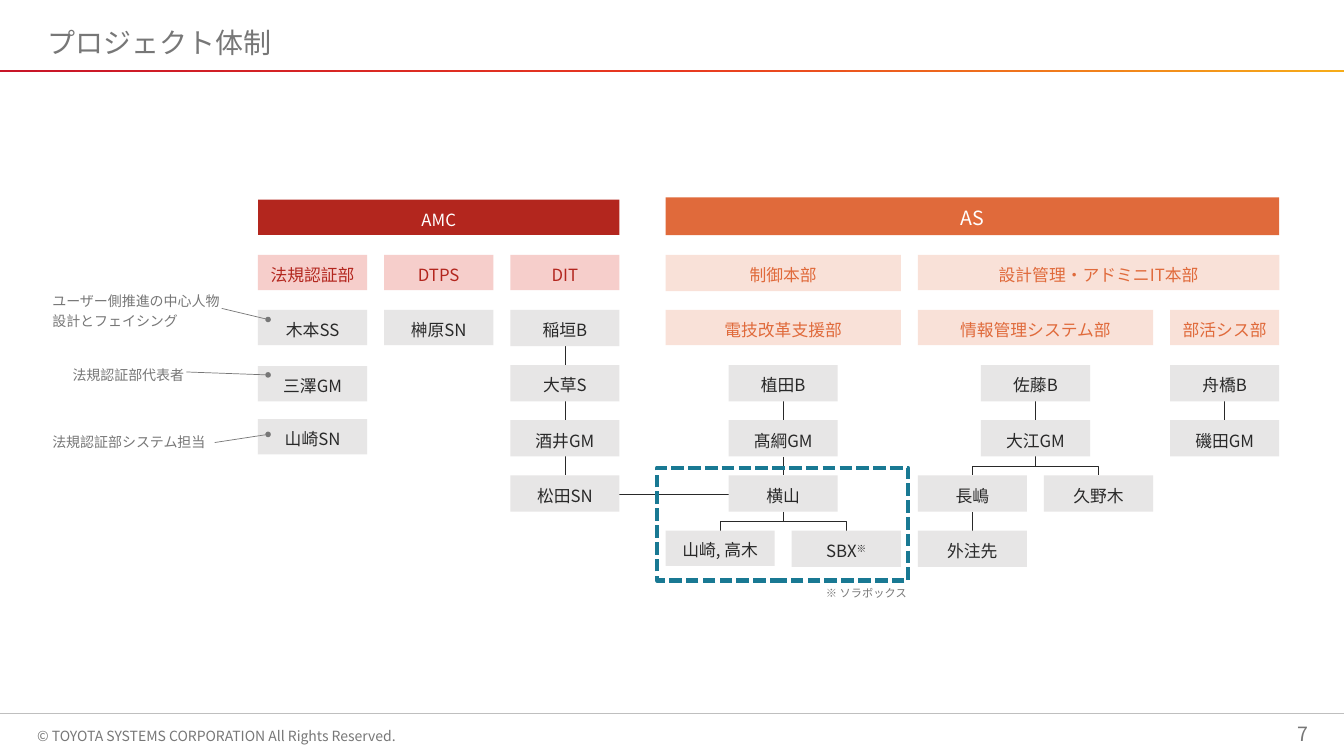
from copy import deepcopy

from lxml import etree
from pptx import Presentation
from pptx.dml.color import RGBColor
from pptx.enum.dml import MSO_LINE
from pptx.enum.shapes import MSO_CONNECTOR, MSO_SHAPE
from pptx.enum.text import MSO_ANCHOR, MSO_AUTO_SIZE, PP_ALIGN
from pptx.oxml.ns import qn
from pptx.util import Pt

RECT = MSO_SHAPE.RECTANGLE
STRAIGHT, ELBOW = MSO_CONNECTOR.STRAIGHT, MSO_CONNECTOR.ELBOW
LEFT, CENTER, RIGHT = PP_ALIGN.LEFT, PP_ALIGN.CENTER, PP_ALIGN.RIGHT
TOP, MIDDLE, BOTTOM = MSO_ANCHOR.TOP, MSO_ANCHOR.MIDDLE, MSO_ANCHOR.BOTTOM
GROW = MSO_AUTO_SIZE.SHAPE_TO_FIT_TEXT
DASH = MSO_LINE.SQUARE_DOT

THEME = {
    "font": "Noto Sans CJK JP",
    "title": 20, "heading": 14, "body": 12, "small": 10, "footnote": 8,
    "ink": "292929", "gray": "777777", "white": "FFFFFF", "rule": "BFBFBF",
    "person": "E7E6E6", "red": "B3261E", "pink": "F6CECB",
    "orange": "E06A3B", "peach": "F9E1D8", "teal": "197993",
    "bar": ["C81528", "E83820", "F6AC19"],
}
PLAIN, FLUSH, BOXED = (7.2, 3.6, 7.2, 3.6), (0, 3.6, 0, 3.6), (7.2, 5.8, 7.2, 4.3)

deck = Presentation()
deck.slide_width, deck.slide_height = Pt(960), Pt(540)
page = deck.slides.add_slide(deck.slide_layouts[6])


def write(shape, text, size, color, spacing=None, align=LEFT, anchor=TOP,
          insets=FLUSH, wrap=True):
    """Fill a shape with text; a part after ^ is superscript."""
    frame = shape.text_frame
    frame_format = {"word_wrap": wrap, "auto_size": GROW, "vertical_anchor": anchor}
    for side, inset in zip(("left", "top", "right", "bottom"), insets):
        frame_format["margin_" + side] = Pt(inset)
    for name, value in frame_format.items():
        setattr(frame, name, value)
    for index, line in enumerate(text.split("\n")):
        para = frame.add_paragraph() if index else frame.paragraphs[0]
        para.alignment = align
        para.line_spacing = spacing
        for part, words in enumerate(line.split("^")):
            span = para.add_run()
            span.text = words
            span.font.name = THEME["font"]
            span.font.size = Pt(THEME[size])
            span.font.color.rgb = RGBColor.from_string(THEME[color])
            props = span.font._element
            etree.SubElement(props, qn("a:ea"), typeface=THEME["font"])
            if part:
                props.set("baseline", "30000")


def connect(kind, x1, y1, x2, y2, color="ink", width=0.5):
    line = page.shapes.add_connector(kind, Pt(x1), Pt(y1), Pt(x2), Pt(y2))
    line.line.color.rgb = RGBColor.from_string(THEME[color])
    line.line.width = Pt(width)
    etree.SubElement(line._element.spPr, qn("a:effectLst"))
    return line


# Frame of the page
bar = page.shapes.add_shape(RECT, 0, Pt(49.9), Pt(960), Pt(1.5))
bar.shadow.inherit = False
bar.line.fill.background()
bar.fill.gradient()
bar.fill.gradient_angle = 0
stop_list = bar._element.spPr.find(qn("a:gradFill")).find(qn("a:gsLst"))
stop_list.insert(1, deepcopy(stop_list[0]))
for index, stop in enumerate(bar.fill.gradient_stops):
    stop.position = index / 2
    stop.color.rgb = RGBColor.from_string(THEME["bar"][index])
connect(STRAIGHT, 0, 509.6, 960, 509.6, "rule", 1)

# Grid of the chart: two groups of columns over shared rows
AMC, AS = 184.3, 475.4
COLUMN, ROW, FIRST_ROW = 90.1, 39.4, 182
WIDTH, HEIGHT, LOW = 78, 25.9, 25.2

reports = [  # group, column, upper row, lower row
    (AMC, 2, 1, 4), (AS, 0.5, 2, 3), (AS, 0.5, 3, 4),
    (AS, 2.5, 2, 3), (AS, 4, 2, 3), (AS, 2, 4, 5),
]
for group, column, upper, lower in reports:
    x = group + column * COLUMN + WIDTH / 2
    connect(STRAIGHT, x, FIRST_ROW + upper * ROW + HEIGHT, x, FIRST_ROW + lower * ROW)

connect(STRAIGHT, 442.1, 352.8, 520.5, 352.8)

half_drop, half_reach = (ROW - HEIGHT) / 2, COLUMN / 4
for column, row in [(2.5, 3), (0.5, 4)]:
    for side in (-1, 1):
        x = AS + column * COLUMN + WIDTH / 2 + side * half_reach
        y = FIRST_ROW + row * ROW + HEIGHT + half_drop
        branch = connect(ELBOW, x + side * half_drop, y - half_reach,
                         x - side * half_drop, y + half_reach)
        turn = 90 if side < 0 else 270
        branch._element.spPr.find(qn("a:xfrm")).set("rot", str(turn * 60000))

boxes = [  # text, group, column, row, columns spanned, height, fill, colour
    ("AMC", AMC, 0, -1, 3, LOW, "red", "white"),
    ("AS", AS, 0, -1.04, 5, 26.9, "orange", "white"),
    ("法規認証部", AMC, 0, 0, 1, LOW, "pink", "red"),
    ("DTPS", AMC, 1, 0, 1, LOW, "pink", "red"),
    ("DIT", AMC, 2, 0, 1, LOW, "pink", "red"),
    ("制御本部", AS, 0, 0, 2, HEIGHT, "peach", "orange"),
    ("設計管理・アドミニIT本部", AS, 2, 0, 3, LOW, "peach", "orange"),
    ("電技改革支援部", AS, 0, 1, 2, LOW, "peach", "orange"),
    ("情報管理システム部", AS, 2, 1, 2, LOW, "peach", "orange"),
    ("部活シス部", AS, 4, 1, 1, LOW, "peach", "orange"),
]
people = [  # text, group, column, row, height
    ("木本SS", AMC, 0, 1, LOW), ("三澤GM", AMC, 0, 2.02, LOW),
    ("山崎SN", AMC, 0, 2.98, LOW), ("榊原SN", AMC, 1, 1, LOW),
    ("稲垣B", AMC, 2, 1, HEIGHT), ("大草S", AMC, 2, 2, HEIGHT),
    ("酒井GM", AMC, 2, 3, HEIGHT), ("松田SN", AMC, 2, 4, HEIGHT),
    ("植田B", AS, 0.5, 2, HEIGHT), ("髙綱GM", AS, 0.5, 3, HEIGHT),
    ("横山", AS, 0.5, 4, HEIGHT), ("山崎, 高木", AS, 0, 5, LOW),
    ("SBX^※", AS, 1, 5, HEIGHT), ("佐藤B", AS, 2.5, 2, HEIGHT),
    ("大江GM", AS, 2.5, 3, HEIGHT), ("長嶋", AS, 2, 4, HEIGHT),
    ("久野木", AS, 3, 4, HEIGHT), ("外注先", AS, 2, 5, HEIGHT),
    ("舟橋B", AS, 4, 2, HEIGHT), ("磯田GM", AS, 4, 3, HEIGHT),
]
for text, group, column, row, height in people:
    boxes.append((text, group, column, row, 1, height, "person", "ink"))

for text, group, column, row, columns, height, fill, color in boxes:
    box = page.shapes.add_shape(
        RECT, Pt(group + column * COLUMN), Pt(FIRST_ROW + row * ROW),
        Pt((columns - 1) * COLUMN + WIDTH), Pt(height))
    box.shadow.inherit = False
    box.fill.solid()
    box.fill.fore_color.rgb = RGBColor.from_string(THEME[fill])
    box.line.fill.background()
    size, spacing = ("heading", None) if text == "AS" else ("body", 1.1)
    write(box, text, size, color, spacing, CENTER, MIDDLE, BOXED)

team = page.shapes.add_shape(RECT, Pt(469.4), Pt(334.1), Pt(179.3), Pt(80.6))
team.shadow.inherit = False
team.fill.background()
team.line.color.rgb = RGBColor.from_string(THEME["teal"])
team.line.width = Pt(3)
team.line.dash_style = DASH

# Leaders from the notes to the people they describe
for x1, y1, y2 in [(158.4, 220.3, 228.2), (133.2, 265.7, 267.8), (153.4, 316.1, 310.3)]:
    leader = connect(STRAIGHT, x1, y1, 191.5, y2, "gray")
    etree.SubElement(leader.line._get_or_add_ln(), qn("a:tailEnd"),
                     type="oval", w="sm", len="sm")

note_format = {"spacing": 1.2, "wrap": False}
labels = [  # text, left, top, width, height, size, format
    ("プロジェクト体制", 26.6, 16.6, 907.2, 29.5, "title",
     {"spacing": 0.9, "anchor": MIDDLE, "insets": PLAIN}),
    ("ユーザー側推進の中心人物\n設計とフェイシング", 37.4, 203, 121, 35.3, "small", note_format),
    ("法規認証部代表者", 51.8, 255.6, 80.6, 20.9, "small", note_format),
    ("法規認証部システム担当", 37.4, 303.8, 110.9, 20.9, "small", note_format),
    ("※ ソラボックス", 581.8, 415.4, 74.2, 17.3, "footnote",
     {"align": CENTER, "insets": PLAIN, "wrap": False}),
    ("© TOYOTA SYSTEMS CORPORATION All Rights Reserved.", 26.6, 516.2, 287.3, 19.4,
     "small", {"wrap": False}),
    ("7", 718.6, 511.2, 216, 24.5, "heading", {"align": RIGHT, "anchor": BOTTOM}),
]
for text, left, top, width, height, size, text_format in labels:
    label = page.shapes.add_textbox(Pt(left), Pt(top), Pt(width), Pt(height))
    write(label, text, size, "gray", **text_format)

deck.save("out.pptx")
